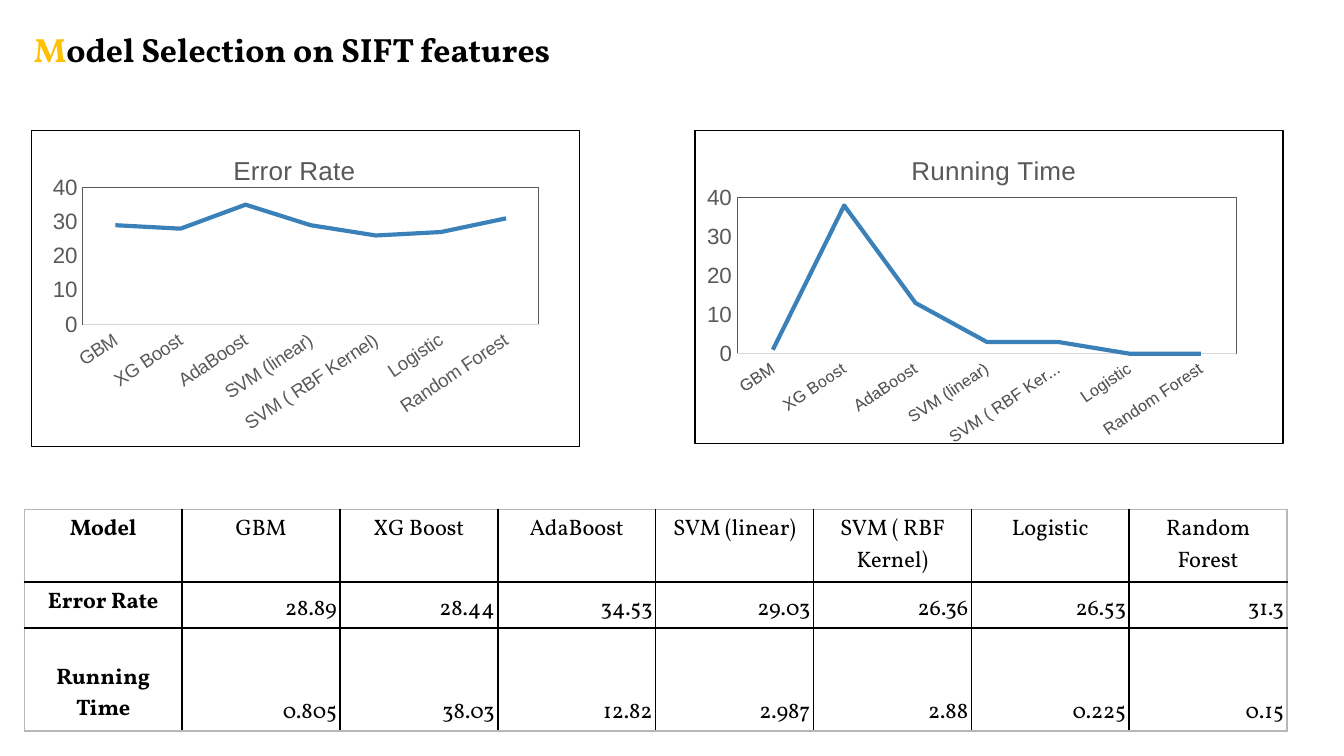
from lxml import etree
from pptx import Presentation
from pptx.chart.data import CategoryChartData
from pptx.dml.color import RGBColor
from pptx.enum.chart import XL_CHART_TYPE as ChartType, XL_TICK_MARK as TickMark
from pptx.enum.text import MSO_ANCHOR as Anchor, PP_ALIGN as Align
from pptx.oxml import parse_xml
from pptx.oxml.ns import nsdecls, qn
from pptx.util import Cm, Pt

COLORS = {
    "accent": "FFC000",
    "text": "000000",
    "chart_text": "595959",
    "axis": "D9D9D9",
    "series": "3A81BA",
    "border": "000000",
    "table_edge": "B7B7B7",
}
TEXT_FONT = "Vollkorn"
CHART_FONT = "Arial"
MODELS = ["GBM", "XG Boost", "AdaBoost", "SVM (linear)",
          "SVM ( RBF Kernel)", "Logistic", "Random Forest"]
RESULTS = {
    "Error Rate": [28.89, 28.44, 34.53, 29.03, 26.36, 26.53, 31.3],
    "Running Time": [0.805, 38.03, 12.82, 2.987, 2.88, 0.225, 0.15],
}


def color(name):
    return RGBColor.from_string(COLORS[name])


def style_font(font, name, size, color_name, bold=False):
    font.name = name
    font.size = Pt(size)
    font.bold = bold
    font.color.rgb = color(color_name)


def add_title(slide, box):
    title = slide.shapes.title
    title.left, title.top, title.width, title.height = map(Cm, box)
    frame = title.text_frame
    frame.vertical_anchor = Anchor.MIDDLE
    frame.word_wrap = True
    frame.margin_left = frame.margin_right = Cm(0.25)
    frame.margin_top = frame.margin_bottom = Cm(0.25)
    paragraph = frame.paragraphs[0]
    paragraph.alignment = Align.LEFT
    for text, color_name in [("M", "accent"),
                             ("odel Selection on SIFT features", "text")]:
        run = paragraph.add_run()
        run.text = text
        style_font(run.font, TEXT_FONT, 18, color_name, True)


def outline(color_name, points):
    return parse_xml(
        f'<c:spPr {nsdecls("c", "a")}><a:noFill/><a:ln w="{Pt(points)}"><a:solidFill>'
        f'<a:srgbClr val="{COLORS[color_name]}"/></a:solidFill></a:ln></c:spPr>')


def manual_layout(settings):
    layout = etree.Element(qn("c:layout"))
    manual = etree.SubElement(layout, qn("c:manualLayout"))
    for tag, value in settings.items():
        etree.SubElement(manual, qn(f"c:{tag}")).set("val", str(value))
    return layout


def place_part(part, index, settings):
    for layout in part.findall(qn("c:layout")):
        part.remove(layout)
    part.insert(index, manual_layout(settings))


def add_line_chart(slide, box, name, plot_box, title_position, label_size):
    data = CategoryChartData()
    data.categories = MODELS
    data.add_series(name, [round(value) for value in RESULTS[name]])
    chart = slide.shapes.add_chart(ChartType.LINE, *map(Cm, box), data).chart
    style_font(chart.font, CHART_FONT, 10, "text")
    chart.has_legend = False
    chart.has_title = True
    chart.chart_title.include_in_layout = False
    paragraph = chart.chart_title.text_frame.paragraphs[0]
    paragraph.text = name
    style_font(paragraph.font, CHART_FONT, 14, "chart_text")

    for axis, size in [(chart.category_axis, label_size), (chart.value_axis, 12)]:
        axis.has_major_gridlines = False
        axis.major_tick_mark = axis.minor_tick_mark = TickMark.NONE
        style_font(axis.tick_labels.font, CHART_FONT, size, "chart_text")
    category_line = chart.category_axis.format.line
    category_line.color.rgb = color("axis")
    category_line.width = Pt(0.75)
    labels = chart.category_axis._element.find(qn("c:txPr"))
    labels.find(qn("a:bodyPr")).set("rot", str(-34 * 60000))
    value_axis = chart.value_axis
    value_axis.minimum_scale, value_axis.maximum_scale = 0, 40
    value_axis.major_unit = 10
    value_axis.format.line.fill.background()

    plot = chart.plots[0]
    plot.vary_by_categories = False
    series = plot.series[0]
    series.smooth = False
    series.format.line.color.rgb = color("series")
    series.format.line.width = Pt(2.25)

    chart_element = chart._chartSpace.find(qn("c:chart"))
    chart_element.addnext(outline("border", 0.75))
    plot_area = chart_element.find(qn("c:plotArea"))
    edges = {"xMode": "edge", "yMode": "edge"}
    place_part(plot_area, 0,
               {"layoutTarget": "inner", **edges, **dict(zip("xywh", plot_box))})
    plot_area.append(outline("chart_text", 0.5))
    place_part(chart_element.find(qn("c:title")), 1,
               {**edges, **dict(zip("xy", title_position))})


def set_borders(cell, edges):
    properties = cell._tc.get_or_add_tcPr()
    for index, (side, is_outer) in enumerate(edges.items()):
        name = "table_edge" if is_outer else "border"
        properties.insert(index, parse_xml(
            f'<a:ln{side} {nsdecls("a")} w="{Pt(1)}"><a:solidFill>'
            f'<a:srgbClr val="{COLORS[name]}"/></a:solidFill></a:ln{side}>'))


def add_results_table(slide, box, row_heights):
    rows = [["Model", *MODELS]]
    rows += [[name, *values] for name, values in RESULTS.items()]
    last_row, last_column = len(rows) - 1, len(MODELS)
    table = slide.shapes.add_table(len(rows), last_column + 1, *map(Cm, box)).table
    table.first_row = table.horz_banding = False
    for column in table.columns:
        column.width = Cm(box[2] / (last_column + 1))
    for r, (values, height) in enumerate(zip(rows, row_heights)):
        table.rows[r].height = Cm(height)
        for c, value in enumerate(values):
            cell = table.cell(r, c)
            is_number = r > 0 and c > 0
            cell.text = str(value)
            cell.fill.background()
            cell.vertical_anchor = Anchor.BOTTOM if is_number else Anchor.TOP
            cell.margin_left = cell.margin_right = Cm(0.06 if is_number else 0.18)
            cell.margin_top = cell.margin_bottom = Cm(0.04 if is_number else 0.1)
            paragraph = cell.text_frame.paragraphs[0]
            paragraph.alignment = Align.RIGHT if is_number else Align.CENTER
            style_font(paragraph.font, TEXT_FONT, 12, "text", c == 0)
            set_borders(cell, {"L": c == 0, "R": c == last_column,
                               "T": r == 0, "B": r == last_row})
    table.cell(last_row, 0).margin_top = Cm(0.67)


def main():
    presentation = Presentation()
    presentation.slide_width = Cm(25.4)
    presentation.slide_height = Cm(14.28)
    slide = presentation.slides.add_slide(presentation.slide_layouts[5])
    add_title(slide, (0.39, 0.35, 18.31, 1.17))
    add_line_chart(slide, (0.58, 2.45, 10.38, 6), "Error Rate",
                   (0.094, 0.181, 0.832, 0.433), (0.36, 0.06), 10)
    add_line_chart(slide, (13.12, 2.45, 11.14, 5.99), "Running Time",
                   (0.072, 0.215, 0.849, 0.498), (0.36, 0.06), 9)
    add_results_table(slide, (0.46, 9.62, 23.87, 3.78), (1.07, 0.86, 1.7))
    presentation.save("out.pptx")


if __name__ == "__main__":
    main()
